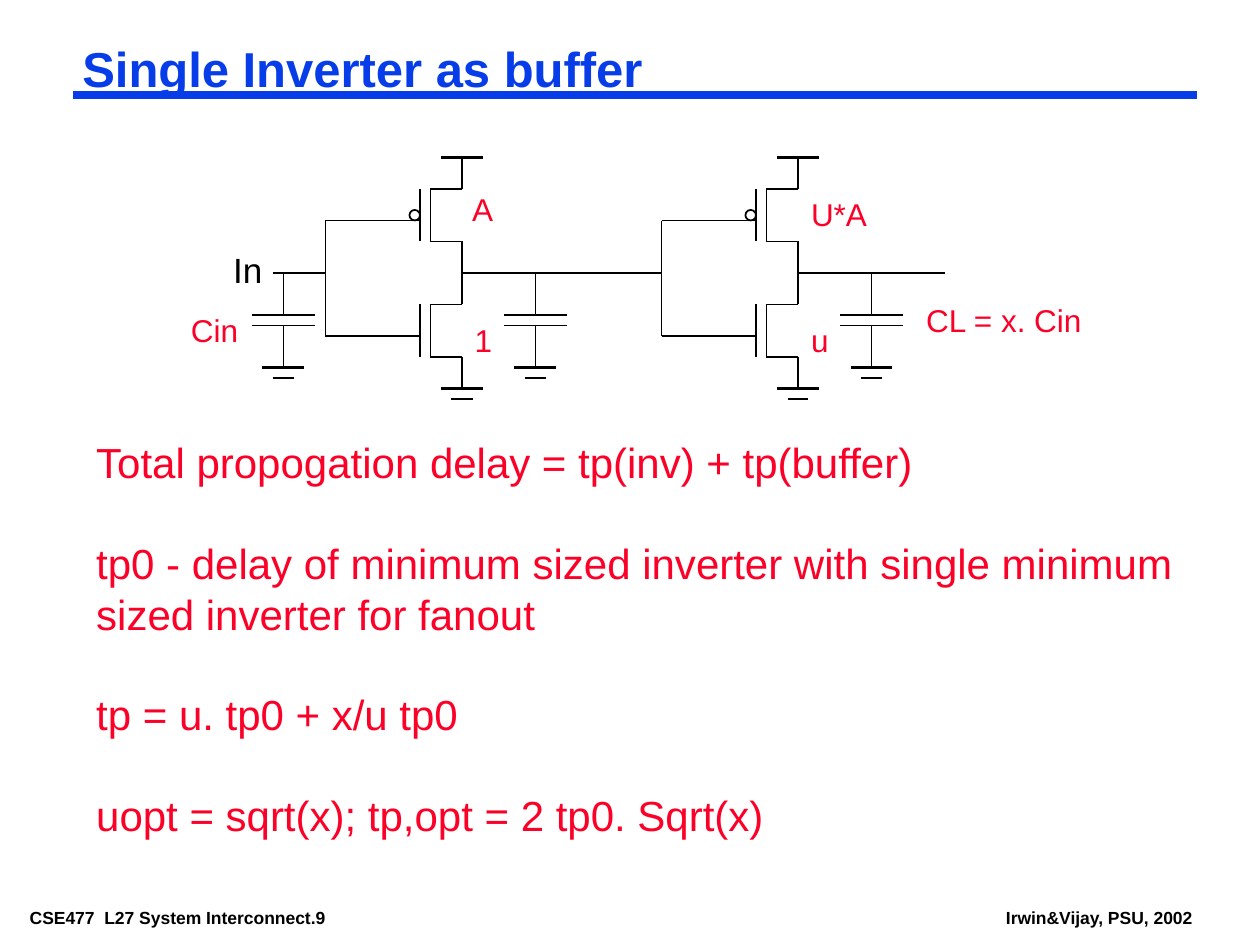
from lxml import etree
from pptx import Presentation
from pptx.dml.color import RGBColor
from pptx.enum.shapes import MSO_CONNECTOR, MSO_SHAPE
from pptx.enum.text import MSO_ANCHOR, MSO_AUTO_SIZE, PP_ALIGN
from pptx.oxml.ns import qn
from pptx.util import Cm, Pt

STRAIGHT = MSO_CONNECTOR.STRAIGHT
OVAL = MSO_SHAPE.OVAL
TOP = MSO_ANCHOR.TOP
LEFT = PP_ALIGN.LEFT
NO_FIT = MSO_AUTO_SIZE.NONE

COLORS = {"blue": "063DE8", "red": "FC0128", "black": "000000"}
FONT = "Arial"
UNIT = 2.54 / 12  # circuit grid step in cm
THIN, THICK = 1, 2.25
LEADING = 1.2
WIDE_INSETS = (0.25, 0.13)
SLIM_INSETS = (0.18, 0.09)

RAIL_Y, MID_Y, GROUND_Y = 15, 26, 37
PMOS_Y, NMOS_Y = 18, 29
STAGES = (26, 58)
CAPACITORS = (27, 51, 83)

LABELS = [  # text, left, top, width, size, colour
    ("In", 4.45, 4.87, 1.1, 20, "black"),
    ("A", 9.27, 3.71, 0.92, 18, "red"),
    ("1", 9.32, 6.35, 0.86, 18, "red"),
    ("u", 16.1, 6.35, 0.86, 18, "red"),
    ("U*A", 16.1, 3.81, 1.63, 18, "red"),
    ("CL = x. Cin", 18.42, 5.93, 3.66, 18, "red"),
    ("Cin", 3.6, 6.14, 1.45, 18, "red"),
]
FOOTERS = [
    ("CSE477  L27 System Interconnect.9", 0.42, 7.82),
    ("Irwin&Vijay, PSU, 2002", 20.1, 4.14),
]
DELAY_NOTES = [
    "Total propogation delay = tp(inv) + tp(buffer)",
    "tp0 - delay of minimum sized inverter with single minimum sized inverter for fanout",
    "tp = u. tp0 + x/u tp0",
    "uopt = sqrt(x); tp,opt = 2 tp0. Sqrt(x)",
]


def rgb(name):
    return RGBColor.from_string(COLORS[name])


def add_line(shapes, start, end, width, color="black"):
    """Draw a straight line between two (x, y) points in cm."""
    line = shapes.add_connector(STRAIGHT, *(Cm(v) for v in (*start, *end)))
    line.line.color.rgb = rgb(color)
    line.line.width = Pt(width)
    etree.SubElement(line._element.spPr, qn("a:effectLst"))


def add_wire(shapes, x1, y1, x2, y2, width=THIN):
    """Draw a line between two points of the circuit grid."""
    add_line(shapes, (x1 * UNIT, y1 * UNIT), (x2 * UNIT, y2 * UNIT), width)


def add_bar(shapes, x, y, half, width=THIN):
    """Draw a horizontal bar centred on x."""
    add_wire(shapes, x - half, y, x + half, y, width)


def add_ground(shapes, x, y):
    add_bar(shapes, x, y, 2, THICK)
    add_bar(shapes, x, y + 1, 1)


def add_transistor(shapes, gate_x, top, gate_y):
    bottom = top + 5
    channel_x, drain_x = gate_x + 1, gate_x + 4
    for x in (gate_x, channel_x):
        add_wire(shapes, x, top, x, bottom)
    for y, end_y in ((top, top - 3), (bottom, bottom + 3)):
        add_wire(shapes, channel_x, y, drain_x, y)
        add_wire(shapes, drain_x, y, drain_x, end_y)
    add_wire(shapes, gate_x - 3, gate_y, gate_x, gate_y)


def add_bubble(shapes, x, y):
    bubble = shapes.add_shape(OVAL, Cm(x * UNIT), Cm(y * UNIT), Cm(UNIT), Cm(UNIT))
    bubble.shadow.inherit = False
    bubble.fill.background()
    bubble.line.color.rgb = rgb("black")
    bubble.line.width = Pt(THIN)


def add_inverter(s, x):
    """Draw a CMOS inverter whose input wire starts at grid column x."""
    shapes = s.shapes.add_group_shape().shapes
    split_x, gate_x, out_x = x + 5, x + 14, x + 18
    gate_ys = (21, 32)
    for top, gate_y in zip((PMOS_Y, NMOS_Y), gate_ys):
        add_transistor(shapes, gate_x, top, gate_y)
        add_wire(shapes, split_x, gate_y, gate_x - 3, gate_y)
    add_bubble(shapes, gate_x - 1, 20)
    add_wire(shapes, split_x, gate_ys[0], split_x, gate_ys[1])
    add_wire(shapes, x, MID_Y, split_x, MID_Y)
    add_wire(shapes, out_x, MID_Y, out_x + 14, MID_Y)
    add_bar(shapes, out_x, RAIL_Y, 2, THICK)
    add_ground(shapes, out_x, GROUND_Y)


def add_capacitor(s, x):
    shapes = s.shapes.add_group_shape().shapes
    add_wire(shapes, x, MID_Y, x, 30)
    for y in (30, 31):
        add_bar(shapes, x, y, 3)
    add_wire(shapes, x, 31, x, 35)
    add_ground(shapes, x, 35)


def format_frame(tf, insets, wrap):
    tf.margin_left = tf.margin_right = Cm(insets[0])
    tf.margin_top = tf.margin_bottom = Cm(insets[1])
    tf.word_wrap = wrap
    tf.auto_size = NO_FIT
    tf.vertical_anchor = TOP


def write_paragraph(p, text, size, color, bold=False, leading=LEADING):
    p.alignment = LEFT
    p.line_spacing = Pt(round(size * leading, 1))
    r = p.add_run()
    r.text = text
    r.font.name = FONT
    r.font.size = Pt(size)
    r.font.bold = bold
    r.font.color.rgb = rgb(color)


def add_text(s, paragraphs, box, size, color, insets=WIDE_INSETS, wrap=False, bold=False):
    tf = s.shapes.add_textbox(*(Cm(v) for v in box)).text_frame
    format_frame(tf, insets, wrap)
    for i, text in enumerate(paragraphs):
        p = tf.add_paragraph() if i else tf.paragraphs[0]
        write_paragraph(p, text, size, color, bold)
        if i:
            p.space_before = Pt(size * LEADING)


def set_title(s, text):
    title = s.shapes.title
    title.left, title.top, title.width, title.height = Cm(1.48), Cm(0.85), Cm(22.65), Cm(1.17)
    format_frame(title.text_frame, SLIM_INSETS, True)
    write_paragraph(title.text_frame.paragraphs[0], text, 28, "blue", True, 1.04)


def main():
    prs = Presentation()
    prs.slide_width, prs.slide_height = Cm(25.4), Cm(19.05)
    s = prs.slides.add_slide(prs.slide_layouts[5])

    for text, left, width in FOOTERS:
        add_text(s, [text], (left, 18.2, width, 0.56), 10, "black", SLIM_INSETS, bold=True)
    add_line(s.shapes, (1.48, 1.91), (24.13, 1.91), 4.5, "blue")
    set_title(s, "Single Inverter as buffer")

    for x in STAGES:
        add_inverter(s, x)
    for x in CAPACITORS:
        add_capacitor(s, x)
    for text, left, top, width, size, color in LABELS:
        add_text(s, [text], (left, top, width, 1.02), size, color)
    add_text(s, DELAY_NOTES, (1.69, 8.68, 23.71, 9.4), 24, "red", wrap=True)

    prs.save("out.pptx")


if __name__ == "__main__":
    main()
